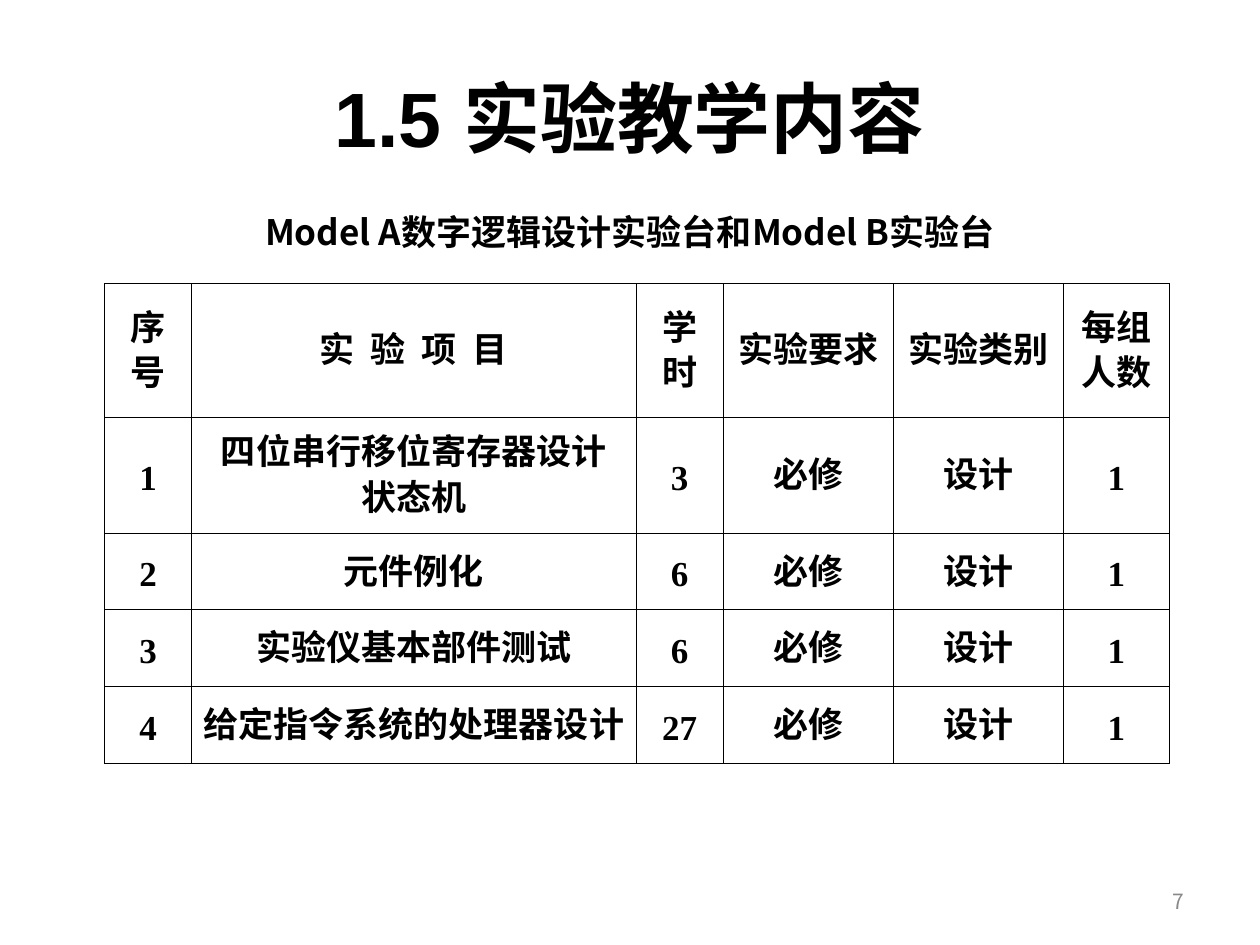
from lxml.etree import SubElement
from pptx import Presentation
from pptx.dml.color import RGBColor
from pptx.enum.text import MSO_ANCHOR, PP_ALIGN
from pptx.oxml.ns import qn
from pptx.util import Inches, Pt

COLORS = {"text": "000000", "page_number": "898989", "border": "000000"}
CJK_FONT = "Noto Sans CJK SC"
COLUMN_WIDTHS = [0.69, 3.53, 0.69, 1.35, 1.35, 0.84]
ROW_HEIGHTS = [1.06, 0.92, 0.61, 0.61, 0.61]
HEADERS = ["序号", "实  验  项  目", "学时", "实验要求", "实验类别", "每组人数"]
EXPERIMENTS = [
    ("四位串行移位寄存器设计\n状态机", "3"),
    ("元件例化", "6"),
    ("实验仪基本部件测试", "6"),
    ("给定指令系统的处理器设计", "27"),
]


def write_text(frame, text, size=20, font=CJK_FONT, color="text", bold=True,
               align=PP_ALIGN.CENTER, before=0, spacing=None):
    frame.text = text
    frame.word_wrap = True
    for paragraph in frame.paragraphs:
        paragraph.alignment = align
        paragraph.space_before = Pt(before)
        if spacing:
            paragraph.line_spacing = Pt(spacing)
        for run in paragraph.runs:
            run.font.size = Pt(size)
            run.font.bold = bold
            run.font.name = font
            run.font.color.rgb = RGBColor.from_string(COLORS[color])
            SubElement(run.font._element, qn("a:ea"), typeface=CJK_FONT)


class SlideBuilder:
    """Holds the style and the current slide, and adds elements to it."""

    def __init__(self, presentation):
        self.slide = presentation.slides.add_slide(presentation.slide_layouts[5])
        self.border_width = Pt(0.45)

    def title(self, text, left, top, width, height, **style):
        title = self.slide.shapes.title
        title.left, title.top = Inches(left), Inches(top)
        title.width, title.height = Inches(width), Inches(height)
        title.text_frame.vertical_anchor = MSO_ANCHOR.MIDDLE
        write_text(title.text_frame, text, **style)

    def text_box(self, text, left, top, width, height,
                 anchor=MSO_ANCHOR.TOP, **style):
        box = self.slide.shapes.add_textbox(
            Inches(left), Inches(top), Inches(width), Inches(height))
        box.text_frame.vertical_anchor = anchor
        write_text(box.text_frame, text, **style)

    def border(self, cell):
        properties = cell._tc.get_or_add_tcPr()
        for side in ("lnL", "lnR", "lnT", "lnB"):
            line = SubElement(properties, qn(f"a:{side}"), w=str(self.border_width))
            fill = SubElement(line, qn("a:solidFill"))
            SubElement(fill, qn("a:srgbClr"), val=COLORS["border"])

    def table(self, rows, left, top, widths, heights, **style):
        table = self.slide.shapes.add_table(
            len(rows), len(widths), Inches(left), Inches(top),
            Inches(sum(widths)), Inches(sum(heights))).table
        table.first_row = table.horz_banding = False
        for column, width in zip(table.columns, widths):
            column.width = Inches(width)
        for row, height, texts in zip(table.rows, heights, rows):
            row.height = Inches(height)
            for cell, text in zip(row.cells, texts):
                cell.margin_left = cell.margin_right = Inches(0.08)
                cell.margin_top = cell.margin_bottom = Inches(0.05)
                cell.vertical_anchor = MSO_ANCHOR.MIDDLE
                self.border(cell)
                cell.fill.background()
                write_text(cell.text_frame, text, **style)


def main():
    presentation = Presentation()
    presentation.slide_width, presentation.slide_height = Inches(10), Inches(7.5)
    builder = SlideBuilder(presentation)
    builder.title("1.5 实验教学内容", 0.5, 0.3, 9, 1.25, size=44, font="Arial")
    rows = [HEADERS] + [
        [str(number), name, hours, "必修", "设计", "1"]
        for number, (name, hours) in enumerate(EXPERIMENTS, 1)]
    builder.table(rows, 0.83, 2.25, COLUMN_WIDTHS, ROW_HEIGHTS,
                  font="Times New Roman", spacing=26)
    builder.text_box("Model A数字逻辑设计实验台和Model B实验台",
                     1.59, 1.62, 6.82, 0.44, before=5)
    builder.text_box("7", 7.17, 6.95, 2.33, 0.4, anchor=MSO_ANCHOR.MIDDLE,
                     size=12, color="page_number", bold=False,
                     align=PP_ALIGN.RIGHT, before=3)
    presentation.save("out.pptx")


if __name__ == "__main__":
    main()
